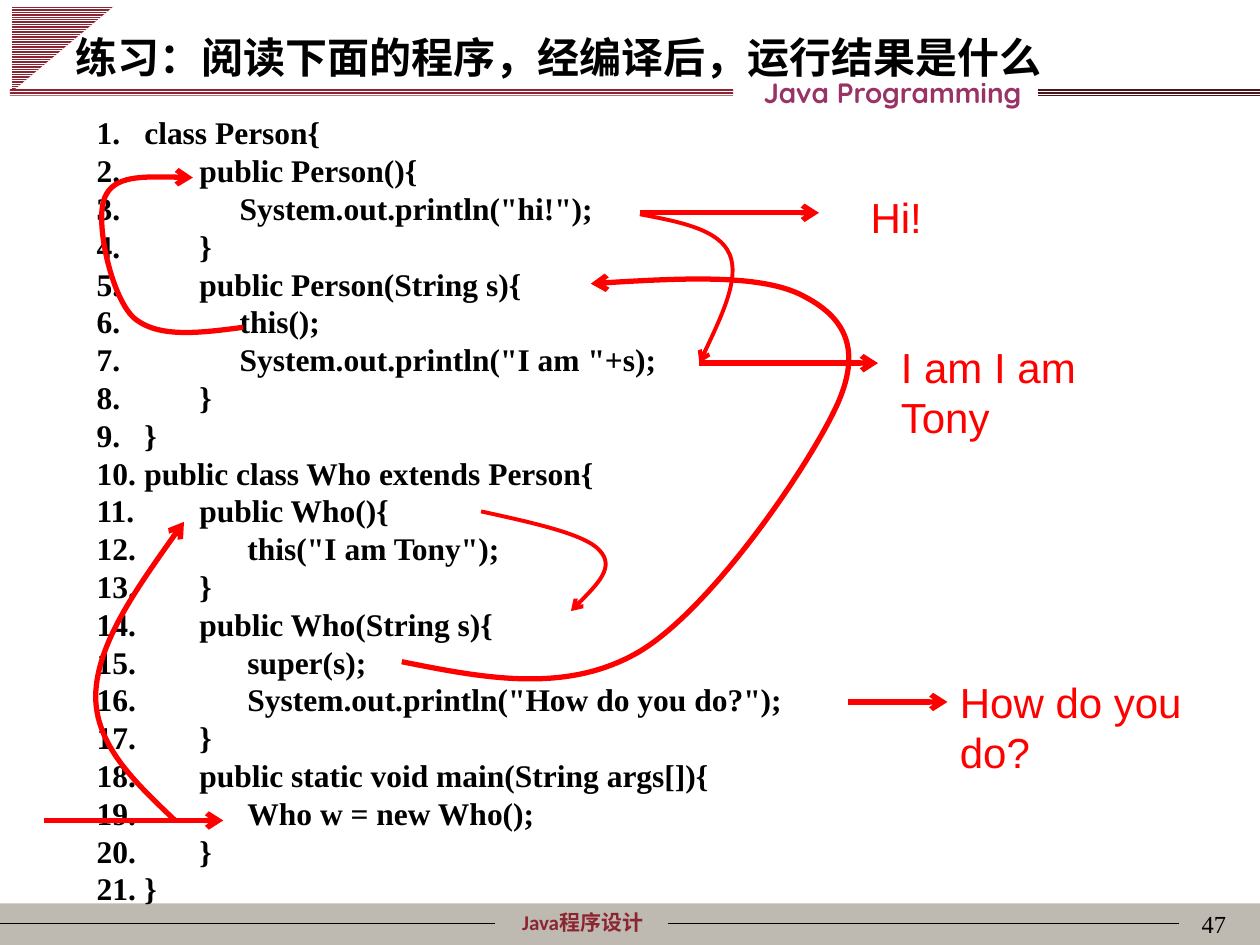
from lxml.etree import SubElement
from pptx import Presentation
from pptx.dml.color import RGBColor
from pptx.enum.dml import MSO_PATTERN
from pptx.enum.shapes import MSO_CONNECTOR, MSO_SHAPE as Shape
from pptx.enum.text import MSO_ANCHOR as Anchor, PP_ALIGN as Align
from pptx.oxml.ns import qn
from pptx.util import Cm, Pt

BLACK = RGBColor(0x00, 0x00, 0x00)
WHITE = RGBColor(0xFF, 0xFF, 0xFF)
RED = RGBColor(0xFF, 0x00, 0x00)
WINE = RGBColor(0x8C, 0x25, 0x32)
DARK_WINE = RGBColor(0x4C, 0x14, 0x1B)
PURPLE = RGBColor(0x99, 0x33, 0x66)
STONE = RGBColor(0xBF, 0xBA, 0xB1)

CODE_INDENTS = (0, 1.11, 1.92, 2.08)
CODE = [
    (0, "class Person{"),
    (1, "public Person(){"),
    (2, 'System.out.println("hi!");'),
    (1, "}"),
    (1, "public Person(String s){"),
    (2, "this();"),
    (2, 'System.out.println("I am "+s);'),
    (1, "}"),
    (0, "}"),
    (0, "public class Who extends Person{"),
    (1, "public Who(){"),
    (3, 'this("I am Tony");'),
    (1, "}"),
    (1, "public Who(String s){"),
    (3, "super(s);"),
    (3, 'System.out.println("How do you do?");'),
    (1, "}"),
    (1, "public static void main(String args[]){"),
    (3, "Who w = new Who();"),
    (1, "}"),
    (0, "}"),
]

# Call flow: line width, then start point and Bezier points
CALLS = [
    (3, [(3.53, 16.54), (2.72, 15.77), (1.91, 15.01), (1.93, 14),
         (1.96, 13), (2.82, 11.76), (3.71, 10.52)]),
    (3, [(8.1, 13.34), (9.75, 13.67), (11.43, 14), (12.9, 13.13),
         (14.38, 12.24), (16.36, 9.32), (16.89, 8.13),
         (17.42, 6.93), (16.94, 6.32), (16.1, 5.92),
         (15.27, 5.54), (13.59, 5.61), (11.91, 5.72)]),
    (3, [(4.9, 6.6), (4.04, 6.71), (3.18, 6.83), (2.69, 6.4),
         (2.24, 5.97), (1.91, 4.47), (2.11, 3.99),
         (2.29, 3.53), (3.1, 3.56), (3.89, 3.58)]),
    (2.25, [(12.9, 4.32), (13.69, 4.47), (14.5, 4.62), (14.71, 5.13),
            (14.91, 5.61), (14.5, 6.48), (14.1, 7.32)]),
    (2.25, [(9.7, 10.31), (10.74, 10.54), (11.81, 10.77), (12.09, 11.1),
            (12.4, 11.43), (11.94, 11.89), (11.51, 12.32)]),
]

# Printed lines: arrow start, end and height, text left and top
OUTPUTS = [
    ("Hi!", 12.9, 16.51, 4.29, 17.3, 3.73),
    ("I am I am Tony", 14.1, 17.7, 7.32, 17.91, 6.76),
    ("How do you do?", 17.09, 19.1, 14.15, 19.1, 13.51),
]


class SlideBuilder:
    cjk_font = "Noto Sans CJK SC"

    def __init__(self, slide):
        self.slide = slide
        self.shapes = slide.shapes

    def format(self, paragraph, size, font, color, bold=False, align=Align.LEFT):
        paragraph.alignment = align
        style = paragraph.font
        style.size, style.name, style.bold = Pt(size), font, bold
        style.color.rgb = color
        SubElement(style._element, qn("a:ea")).set("typeface", self.cjk_font)

    def title(self, text, *box):
        title = self.shapes.title
        title.left, title.top, title.width, title.height = map(Cm, box)
        frame = title.text_frame
        frame.text = text
        frame.vertical_anchor = Anchor.MIDDLE
        self.format(frame.paragraphs[0], 24, self.cjk_font, BLACK, True)
        self.shapes._spTree.append(title._element)  # bring to front

    def text(self, text, box, *style):
        frame = self.shapes.add_textbox(*map(Cm, box)).text_frame
        frame.word_wrap = True
        frame.text = text
        self.format(frame.paragraphs[0], *style)

    def code(self, lines, box, hanging):
        frame = self.shapes.add_textbox(*map(Cm, box)).text_frame
        frame.word_wrap = True
        frame.text = "\n".join(line for _, line in lines)
        for paragraph, (level, _) in zip(frame.paragraphs, lines):
            paragraph.line_spacing = 0.8
            paragraph.space_before = Pt(4.3)
            properties = paragraph._p.get_or_add_pPr()
            margin = Cm(hanging + CODE_INDENTS[level])
            properties.set("marL", str(margin))
            properties.set("indent", str(-margin))
            SubElement(properties, qn("a:buFont")).set("typeface", "+mj-lt")
            SubElement(properties, qn("a:buAutoNum")).set("type", "arabicPeriod")
            self.format(paragraph, 18, "Times New Roman", BLACK, True)

    def block(self, kind, color, *box, striped=False, rotation=0):
        shape = self.shapes.add_shape(kind, *map(Cm, box))
        shape.shadow.inherit = False
        shape.rotation = rotation
        shape.line.fill.background()
        if striped:
            shape.fill.patterned()
            shape.fill.pattern = MSO_PATTERN.LIGHT_HORIZONTAL
            shape.fill.fore_color.rgb = WHITE
            shape.fill.back_color.rgb = color
        else:
            shape.fill.solid()
            shape.fill.fore_color.rgb = color

    def stroke(self, shape, color, width, arrow):
        shape.line.color.rgb = color
        shape.line.width = Pt(width)
        if arrow:
            line = shape.line._get_or_add_ln()
            SubElement(line, qn("a:tailEnd")).set("type", "arrow")

    def line(self, left, right, y, color=BLACK, width=0.75, arrow=False):
        connector = self.shapes.add_connector(
            MSO_CONNECTOR.STRAIGHT, Cm(left), Cm(y), Cm(right), Cm(y))
        self.stroke(connector, color, width, arrow)
        SubElement(connector._element.spPr, qn("a:effectLst"))

    def curve(self, points, width):
        start, *others = [(Cm(x), Cm(y)) for x, y in points]
        builder = self.shapes.build_freeform(*start)
        builder.add_line_segments(others, close=False)
        shape = builder.convert_to_shape()
        shape.fill.background()
        self.stroke(shape, RED, width, True)
        shape.shadow.inherit = False
        # Join each three line segments into one Bezier segment
        outline = next(shape._element.iter(qn("a:path")))
        segments = outline.findall(qn("a:lnTo"))
        for first in range(0, len(segments), 3):
            bezier = SubElement(outline, qn("a:cubicBezTo"))
            for segment in segments[first:first + 3]:
                bezier.append(segment[0])
                outline.remove(segment)


def main():
    presentation = Presentation()
    presentation.slide_width, presentation.slide_height = Cm(25.4), Cm(19.05)
    builder = SlideBuilder(
        presentation.slides.add_slide(presentation.slide_layouts[5]))

    # Footer
    builder.block(Shape.RECTANGLE, STONE, 0, 18.21, 25.4, 0.84)
    builder.text("Java程序设计", (9.19, 18.21, 5.11, 0.76),
                 12, "Calibri", WINE, True, Align.CENTER)
    builder.line(0, 9.98, 18.62)
    builder.line(13.46, 23.77, 18.62)
    builder.text("47", (19.69, 18.21, 5.28, 0.84),
                 14, "Times New Roman", BLACK, False, Align.RIGHT)

    # Header
    builder.block(Shape.RIGHT_TRIANGLE, WINE, 0.41, -0.05, 1.73, 2.06,
                  striped=True, rotation=90)
    builder.block(Shape.RECTANGLE, DARK_WINE, 20.93, 1.8, 4.47, 0.15, striped=True)
    builder.block(Shape.RECTANGLE, WINE, 0.2, 1.8, 14.58, 0.13, striped=True)
    builder.text("Java Programming", (12.9, 1.4, 10.19, 0.94),
                 16, "Quicksand", PURPLE, True, Align.CENTER)
    builder.title("练习：阅读下面的程序，经编译后，运行结果是什么",
                  1.27, 0.46, 22.86, 1.35)

    # Program listing
    builder.code(CODE, (1.7, 2.31, 23.06, 15.57), hanging=0.96)

    # Call flow, starting from main
    builder.line(0.89, 4.5, 16.54, RED, 3, arrow=True)
    for width, points in CALLS:
        builder.curve(points, width)

    # Printed output
    for text, start, end, y, left, top in OUTPUTS:
        builder.line(start, end, y, RED, 3, arrow=True)
        builder.text(text, (left, top, 5.9, 1.02), 24, "Arial", RED)

    presentation.save("out.pptx")


if __name__ == "__main__":
    main()
